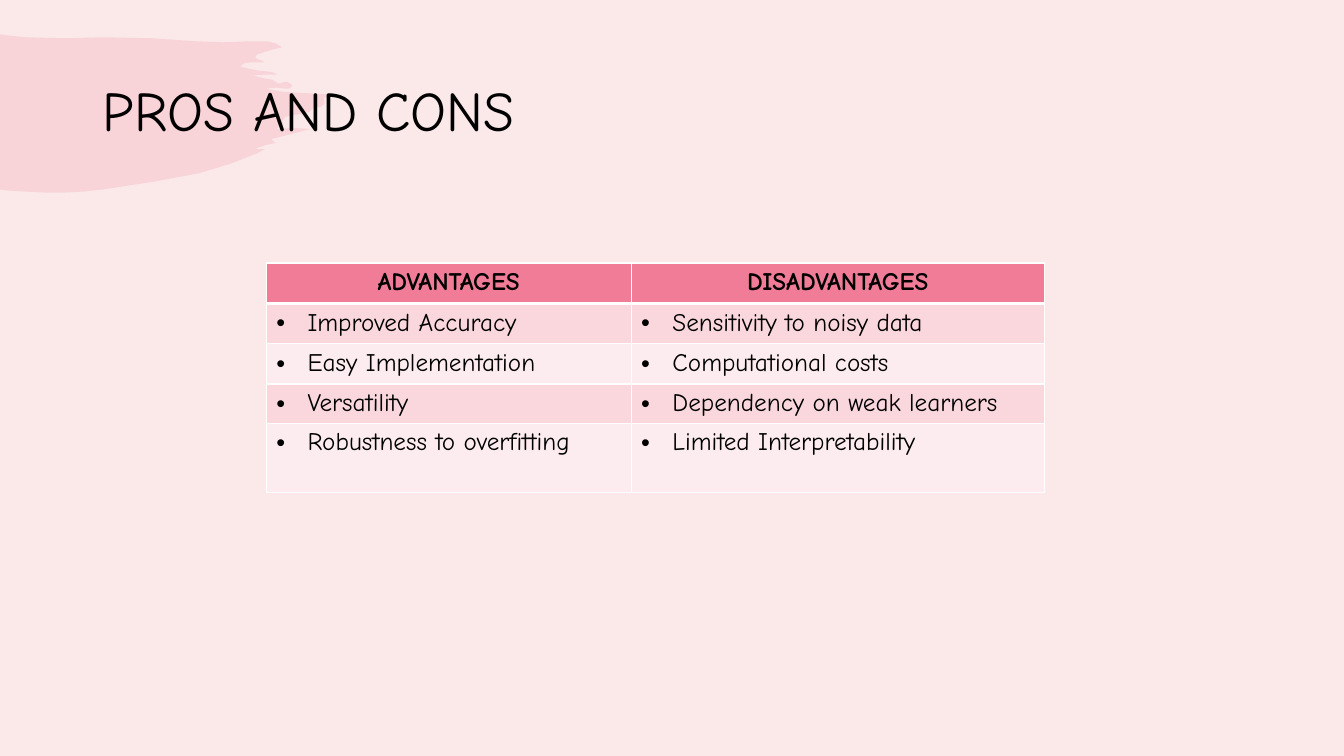
from lxml.etree import SubElement
from pptx import Presentation
from pptx.dml.color import RGBColor
from pptx.enum.text import MSO_ANCHOR, PP_ALIGN
from pptx.oxml.ns import qn
from pptx.util import Inches, Pt

FONT = "Comic Neue"
BACKGROUND, PINK, INK, WHITE = "FAE9E8", "F07C98", "000000", "FFFFFF"
BANDS = ["F9D7DD", "FCECEF"]
BULLET_INDENT = Inches(0.31)
THIN, THICK = Pt(1), Pt(3)


def set_fill(fill, hex_color):
    fill.solid()
    fill.fore_color.rgb = RGBColor.from_string(hex_color)


def add_run(p, text, size, bold=False):
    r = p.add_run()
    r.text = text
    r.font.name, r.font.size, r.font.bold = FONT, Pt(size), bold
    set_fill(r.font.fill, INK)


prs = Presentation()
prs.slide_width, prs.slide_height = Inches(13.33), Inches(7.5)
slide = prs.slides.add_slide(prs.slide_layouts[5])
set_fill(slide.background.fill, BACKGROUND)

# Brush stroke, clockwise, in hundredths of an inch:
# the freeform builder rounds its points to whole units.
top_edge = [
    (0, 34), (6, 35), (25, 37), (66, 38), (102, 37), (151, 38),
    (194, 41), (221, 42), (248, 41), (265, 41), (273, 43), (280, 47),
]
upper_bristles = [
    (271, 49), (255, 54), (253, 57), (256, 59), (260, 60), (262, 62),
    (248, 62), (242, 63), (238, 66), (246, 68), (256, 70), (266, 71),
    (271, 72), (275, 74), (263, 74), (251, 75), (263, 78), (270, 79),
    (273, 81), (276, 83), (280, 82), (284, 81), (288, 83), (290, 85),
    (287, 88), (284, 88), (274, 87), (263, 88), (280, 91), (296, 92),
]
lower_bristles = [
    (330, 94), (325, 96), (321, 97), (322, 103), (318, 106), (311, 107),
    (307, 111), (300, 113), (291, 114), (283, 116), (280, 120), (281, 123),
    (278, 125), (274, 128), (291, 127), (308, 128), (289, 133), (269, 138),
    (273, 142), (263, 144), (252, 148), (263, 148),
]
bottom_edge = [
    (255, 152), (230, 162), (197, 172), (154, 180), (102, 188), (84, 190),
    (65, 191), (44, 191), (23, 190), (7, 189), (0, 188),
]
outline = top_edge + upper_bristles + lower_bristles + bottom_edge
builder = slide.shapes.build_freeform(*outline[0], scale=Inches(0.01))
builder.add_line_segments(outline[1:], close=True)
brush = builder.convert_to_shape()
brush.shadow.inherit = False
brush.line.fill.background()
set_fill(brush.fill, PINK)
brush_color = brush._element.spPr.find(qn("a:solidFill"))[0]
SubElement(brush_color, qn("a:alpha"), val="20000")
slide.shapes._spTree.insert(2, brush._element)  # behind the title

# Title
title = slide.shapes.title
title.left, title.top = Inches(0.92), Inches(0.4)
title.width, title.height = Inches(11.5), Inches(1.45)
tf = title.text_frame
tf.vertical_anchor = MSO_ANCHOR.MIDDLE
p = tf.paragraphs[0]
p.alignment, p.line_spacing = PP_ALIGN.LEFT, 0.9
add_run(p, "PROS AND CONS", 40)

# Table: one header row, then banded rows of bullets
rows = [
    ("ADVANTAGES", "DISADVANTAGES"),
    ("Improved Accuracy", "Sensitivity to noisy data"),
    ("Easy Implementation", "Computational costs"),
    ("Versatility", "Dependency on weak learners"),
    ("Robustness to overfitting", "Limited Interpretability"),
]
col_widths = [3.62, 4.1]
row_heights = [0.4, 0.4, 0.4, 0.38, 0.69]
table = slide.shapes.add_table(
    len(rows), len(col_widths), Inches(2.64), Inches(2.61),
    Inches(sum(col_widths)), Inches(sum(row_heights))).table
for col, width in zip(table.columns, col_widths):
    col.width = Inches(width)
for row, height in zip(table.rows, row_heights):
    row.height = Inches(height)

header_rule = [(0, "lnB"), (1, "lnT")]  # the two sides of one shared edge
for i, texts in enumerate(rows):
    is_header = i == 0
    for j, text in enumerate(texts):
        cell = table.cell(i, j)
        tcPr = cell._tc.get_or_add_tcPr()
        for side in ["lnL", "lnR", "lnT", "lnB"]:  # borders precede the fill
            weight = THICK if (i, side) in header_rule else THIN
            border = SubElement(tcPr, qn(f"a:{side}"), w=str(weight))
            border_fill = SubElement(border, qn("a:solidFill"))
            SubElement(border_fill, qn("a:srgbClr"), val=WHITE)
        set_fill(cell.fill, PINK if is_header else BANDS[(i - 1) % 2])

        p = cell.text_frame.paragraphs[0]
        add_run(p, text, 18, bold=is_header)
        if is_header:
            p.alignment = PP_ALIGN.CENTER
        else:
            pPr = p._p.get_or_add_pPr()
            pPr.set("marL", str(BULLET_INDENT))
            pPr.set("indent", str(-BULLET_INDENT))
            SubElement(pPr, qn("a:buFont"), typeface="Arial")
            SubElement(pPr, qn("a:buChar"), char="•")

prs.save("out.pptx")
